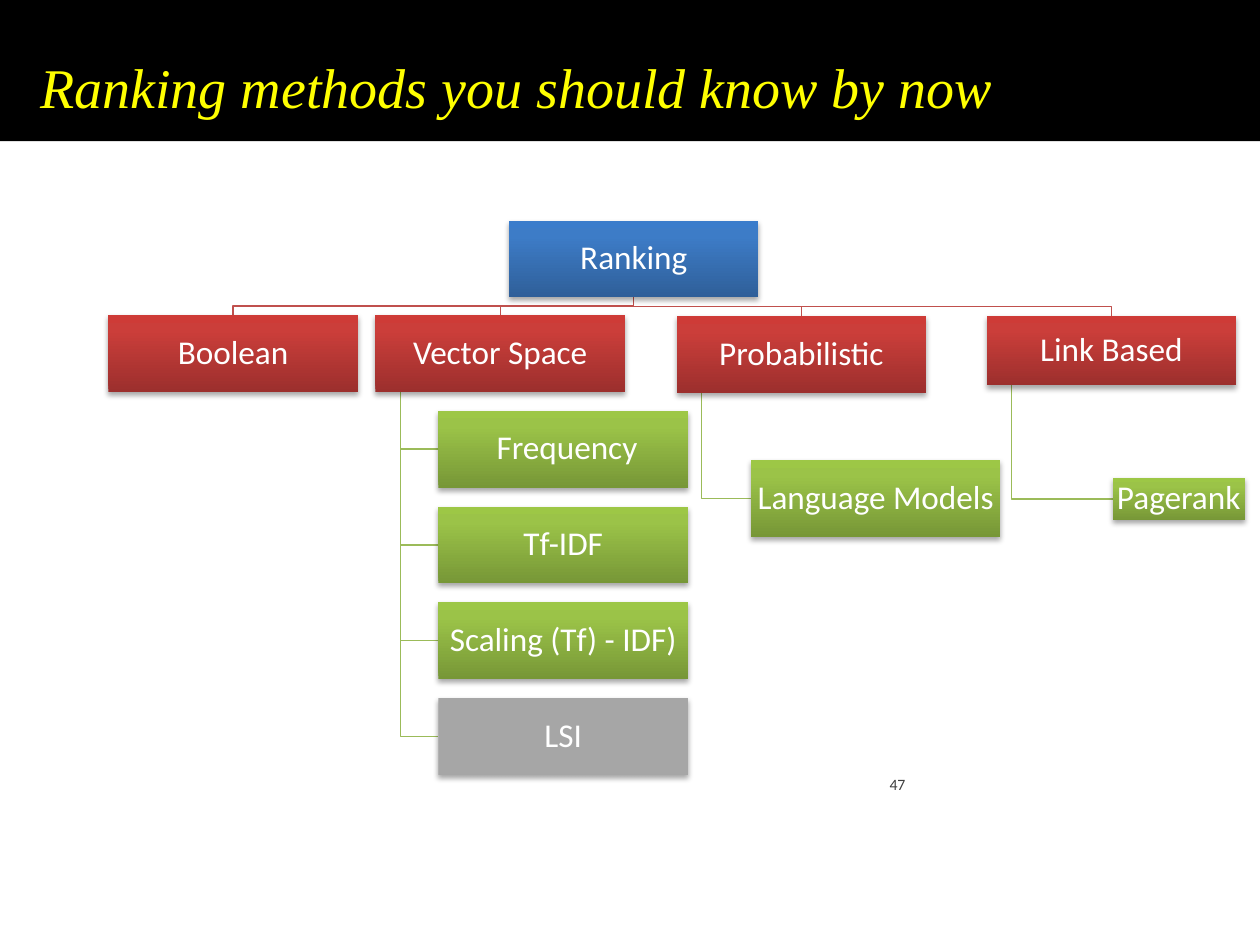
from dataclasses import dataclass

from lxml.etree import SubElement
from pptx import Presentation
from pptx.dml.color import RGBColor
from pptx.enum.shapes import MSO_SHAPE
from pptx.enum.text import MSO_ANCHOR, PP_ALIGN
from pptx.oxml.ns import qn
from pptx.util import Inches, Pt

BOX_WIDTH, BOX_HEIGHT = 1.98, 0.61
TRUNK_INDENT = 0.2
BLUE = ("2F5F99", "3D7CC7", "3A7CCB")
RED = ("9C2F2D", "CB3E3A", "CE3B37")
GREEN = ("779737", "9BC348", "9DC746")
GREY = ("A6A6A6",)
RED_LINE, GREEN_LINE = "C0504D", "9BBB59"


@dataclass
class Node:
    label: str
    left: float
    top: float
    colors: tuple
    width: float = BOX_WIDTH
    height: float = BOX_HEIGHT

    @property
    def center(self):
        return self.left + self.width / 2

    @property
    def middle(self):
        return self.top + self.height / 2

    @property
    def bottom(self):
        return self.top + self.height


def color(value):
    return RGBColor.from_string(value)


def write_text(shape, text, size, text_color, font="Calibri", italic=False,
               align=PP_ALIGN.LEFT, anchor=MSO_ANCHOR.TOP, inset=0, spacing=1.0):
    frame = shape.text_frame
    frame.word_wrap = True
    frame.vertical_anchor = anchor
    frame.margin_left = frame.margin_right = Inches(inset)
    frame.margin_top = frame.margin_bottom = Inches(inset)
    paragraph = frame.paragraphs[0]
    paragraph.alignment = align
    paragraph.line_spacing = spacing
    run = paragraph.add_run()
    run.text = text
    run.font.name = font
    run.font.size = Pt(size)
    run.font.italic = italic
    run.font.color.rgb = color(text_color)


def add_text(slide, left, top, width, height, text, **text_format):
    box = slide.shapes.add_textbox(Inches(left), Inches(top), Inches(width), Inches(height))
    write_text(box, text, **text_format)


def add_rectangle(slide, left, top, width, height, fill_color):
    shape = slide.shapes.add_shape(
        MSO_SHAPE.RECTANGLE, Inches(left), Inches(top), Inches(width), Inches(height))
    shape.fill.solid()
    shape.fill.fore_color.rgb = color(fill_color)
    shape.line.fill.background()
    shape.shadow.inherit = False
    return shape


def set_gradient(shape, colors):
    """Run the colours from the bottom edge to the top edge."""
    shape.fill.gradient()
    shape.fill.gradient_angle = 90
    stops = shape._element.spPr.find(".//" + qn("a:gsLst"))
    for stop in list(stops):
        stops.remove(stop)
    for position, value in zip((0, 80000, 100000), colors):
        stop = SubElement(stops, qn("a:gs"), pos=str(position))
        SubElement(stop, qn("a:srgbClr"), val=value)


def add_drop_shadow(shape):
    effects = shape._element.spPr.find(qn("a:effectLst"))
    shadow = SubElement(effects, qn("a:outerShdw"), blurRad="40000", dist="23000",
                        dir="5400000", rotWithShape="0")
    shadow_color = SubElement(shadow, qn("a:srgbClr"), val="000000")
    SubElement(shadow_color, qn("a:alpha"), val="35000")


def add_node(slide, node):
    shape = add_rectangle(slide, node.left, node.top, node.width, node.height, node.colors[0])
    if len(node.colors) > 1:
        set_gradient(shape, node.colors)
    add_drop_shadow(shape)
    write_text(shape, node.label, size=19, text_color="FFFFFF", align=PP_ALIGN.CENTER,
               anchor=MSO_ANCHOR.MIDDLE, inset=0.01, spacing=0.9)


def add_elbow(slide, points, line_color):
    start, *rest = [(Inches(x), Inches(y)) for x, y in points]
    builder = slide.shapes.build_freeform(*start)
    builder.add_line_segments(rest, close=False)
    shape = builder.convert_to_shape()
    shape.fill.background()
    shape.line.color.rgb = color(line_color)
    shape.line.width = Pt(0.75)
    shape.shadow.inherit = False


def connect_below(slide, parent, child):
    bend = (parent.bottom + child.top) / 2
    add_elbow(slide, [(parent.center, parent.bottom), (parent.center, bend),
                      (child.center, bend), (child.center, child.top)], RED_LINE)


def connect_beside(slide, parent, child):
    trunk = parent.left + TRUNK_INDENT
    add_elbow(slide, [(trunk, parent.bottom), (trunk, child.middle),
                      (child.left, child.middle)], GREEN_LINE)


def add_tree(slide, root, branches):
    """Draw all connectors first, so that the boxes lie over them."""
    for branch, leaves in branches:
        connect_below(slide, root, branch)
        for leaf in leaves:
            connect_beside(slide, branch, leaf)
    add_node(slide, root)
    for branch, leaves in branches:
        for node in (branch, *leaves):
            add_node(slide, node)


def main():
    presentation = Presentation()
    presentation.slide_width = Inches(10)
    presentation.slide_height = Inches(7.5)
    slide = presentation.slides.add_slide(presentation.slide_layouts[6])

    add_rectangle(slide, 0, 0, 10, 1.12, "000000")
    add_text(slide, 0.32, 0.42, 8.62, 0.54, "Ranking methods you should know by now",
             size=32, text_color="FFFF00", font="Times New Roman", italic=True)

    vector_methods = [(" Frequency", GREEN), ("Tf-IDF", GREEN),
                      ("Scaling (Tf) - IDF)", GREEN), ("LSI", GREY)]
    vector_leaves = [Node(label, 3.48, 3.26 + 0.76 * row, colors)
                     for row, (label, colors) in enumerate(vector_methods)]
    branches = [
        (Node("Boolean", 0.86, 2.5, RED), []),
        (Node("Vector Space", 2.98, 2.5, RED), vector_leaves),
        (Node("Probabilistic", 5.37, 2.51, RED),
         [Node("Language Models", 5.96, 3.65, GREEN)]),
        (Node("Link Based", 7.83, 2.51, RED, height=0.55),
         [Node("Pagerank", 8.83, 3.79, GREEN, width=1.05, height=0.34)]),
    ]
    add_tree(slide, Node("Ranking", 4.04, 1.75, BLUE), branches)

    add_text(slide, 7.06, 6.15, 2.25, 0.3, "47", size=9, text_color="3E3E3E")
    presentation.save("out.pptx")


if __name__ == "__main__":
    main()
